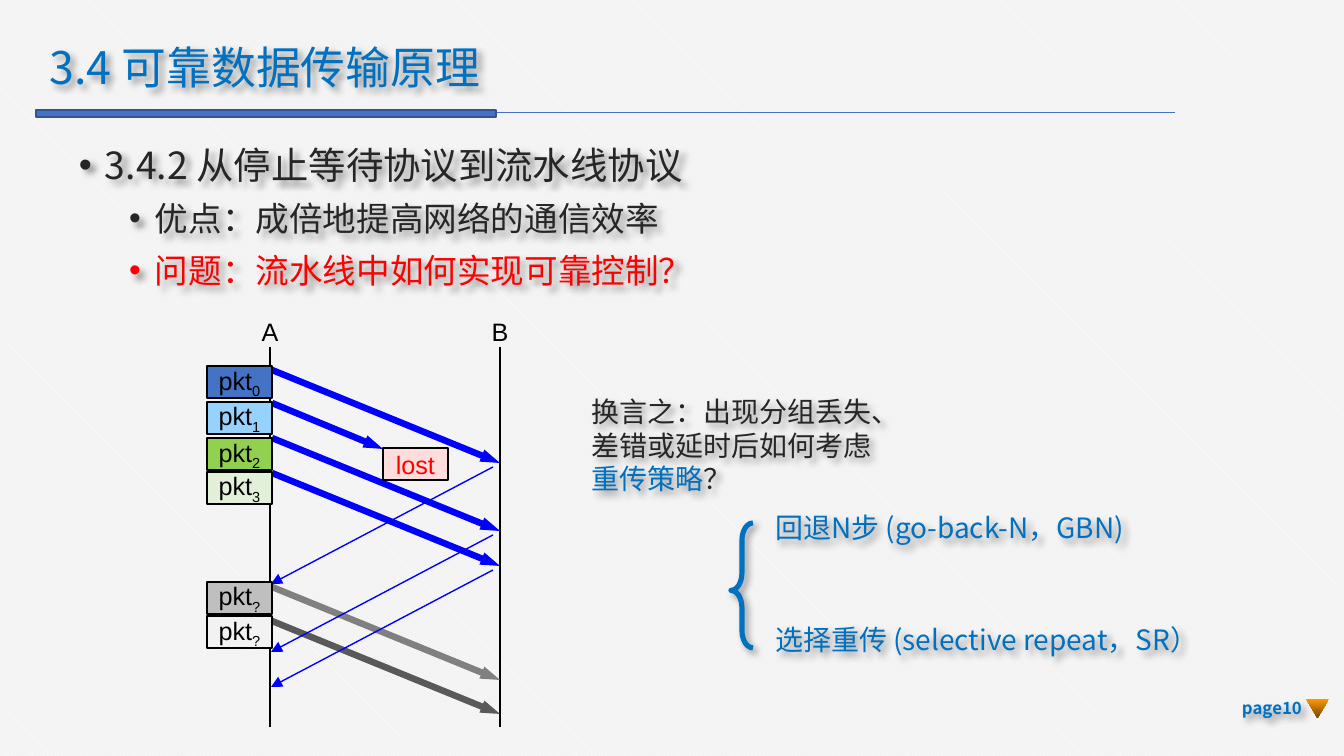
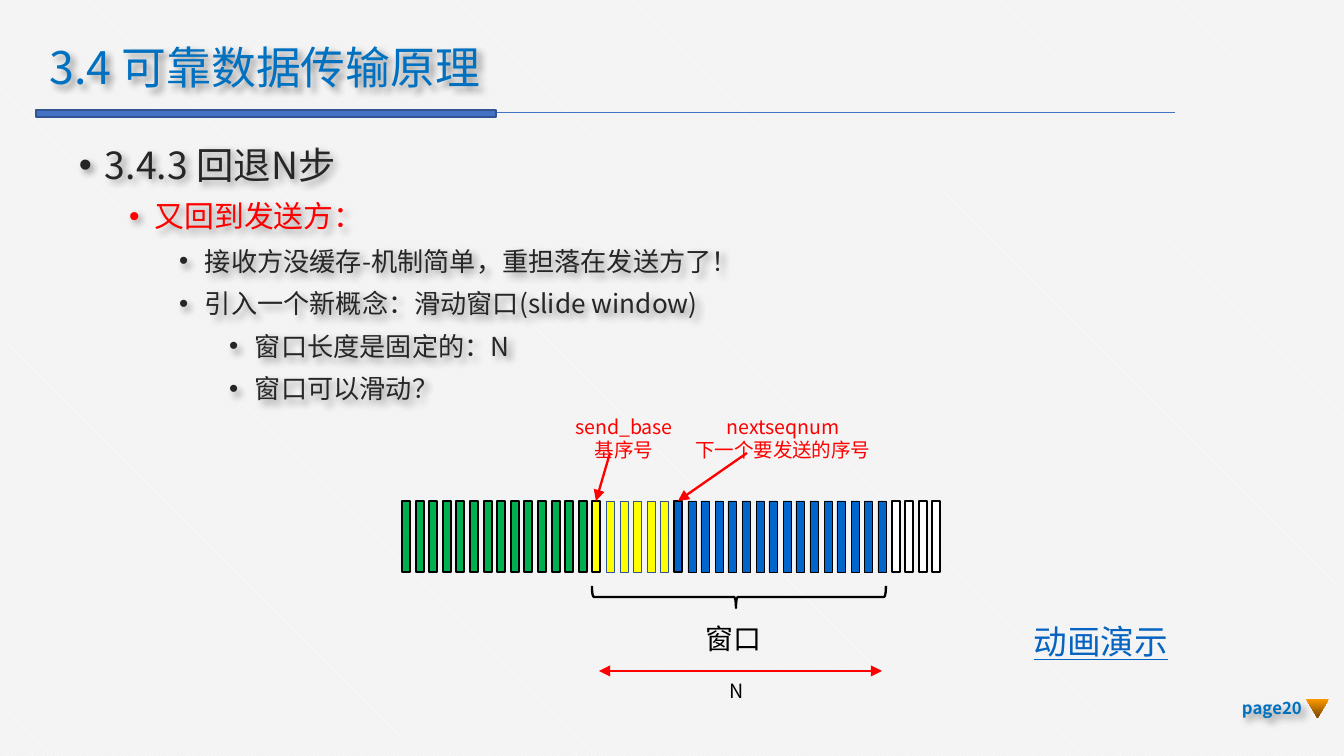
from lxml.etree import SubElement
from pptx import Presentation
from pptx.dml.color import RGBColor
from pptx.enum.dml import MSO_PATTERN
from pptx.enum.shapes import MSO_CONNECTOR, MSO_SHAPE
from pptx.enum.text import MSO_ANCHOR, MSO_AUTO_SIZE, PP_ALIGN
from pptx.oxml.ns import qn
from pptx.util import Pt

PX = 914400 / 134.4
SANS = "Noto Sans CJK SC"
LATIN = "Arial"
BLUE = "0070C0"
BAND = "4472C4"
BAND_EDGE = "325491"
INK = "262626"
BLACK = "000000"
RED = "FF0000"
ARROW_BLUE = "0000FF"
YELLOW = "FFFF00"
SEQUENCE_BLUE = "0066CC"
TITLE = "3.4 可靠数据传输原理"


def px(value):
    return round(value * PX)


def color(code):
    return RGBColor.from_string(code)


def place(shape, x, y, width, height):
    shape.left, shape.top = px(x), px(y)
    shape.width, shape.height = px(width), px(height)


def cast_shadow(shape):
    shape.shadow.inherit = False
    effects = shape._element.spPr.find(qn("a:effectLst"))
    shadow = SubElement(effects, qn("a:outerShdw"), blurRad=str(Pt(4)), dist=str(Pt(3)),
                        dir="2700000", algn="tl", rotWithShape="0")
    tint = SubElement(shadow, qn("a:srgbClr"), val=BLACK)
    SubElement(tint, qn("a:alpha"), val="40000")


def add_span(para, text, size, code, font=SANS, bold=False, underline=False, subscript=False):
    span = para.add_run()
    span.text = text
    span.font.size = Pt(size)
    span.font.name = font
    span.font.color.rgb = color(code)
    if bold:
        span.font.bold = True
    if underline:
        span.font.underline = True
    properties = span._r.get_or_add_rPr()
    latin = properties.find(qn("a:latin"))
    latin.addnext(properties.makeelement(qn("a:ea"), {"typeface": font}))
    if subscript:
        properties.set("baseline", "-25000")


def paragraphs(frame, count):
    return [frame.paragraphs[0]] + [frame.add_paragraph() for _ in range(count - 1)]


def add_text(page, frame_px, lines, align=PP_ALIGN.LEFT, anchor=MSO_ANCHOR.TOP,
             wrap=True, shadow=False):
    box = page.shapes.add_textbox(*map(px, frame_px))
    frame = box.text_frame
    frame.word_wrap = wrap
    frame.vertical_anchor = anchor
    for para, spans in zip(paragraphs(frame, len(lines)), lines):
        para.alignment = align
        for text, size, code, *options in spans:
            add_span(para, text, size, code, **(options[0] if options else {}))
    if shadow:
        cast_shadow(box)
    return box


def add_label(page, center_x, y, width, lines):
    label = add_text(page, (center_x - width / 2, y, width, 32), lines,
                     PP_ALIGN.CENTER, MSO_ANCHOR.MIDDLE, wrap=False)
    frame = label.text_frame
    frame.margin_left = frame.margin_right = 0
    frame.margin_top = frame.margin_bottom = 0


def add_block(page, frame_px, fill, edge=BLACK, weight=0.75):
    block = page.shapes.add_shape(MSO_SHAPE.RECTANGLE, *map(px, frame_px))
    block.shadow.inherit = False
    block.fill.solid()
    block.fill.fore_color.rgb = color(fill)
    block.line.color.rgb = color(edge)
    block.line.width = Pt(weight)
    return block


def add_packet(page, x, y, fill, name, subscript="", code=BLACK):
    packet = add_block(page, (x, y, 65, 32), fill)
    frame = packet.text_frame
    frame.word_wrap = False
    frame.vertical_anchor = MSO_ANCHOR.MIDDLE
    para = frame.paragraphs[0]
    para.alignment = PP_ALIGN.CENTER
    add_span(para, name, 13.5, code, LATIN)
    if subscript:
        add_span(para, subscript, 13.5, code, LATIN, subscript=True)


def add_line(page, start, end, code, weight, head=False, tail=False, tip="med"):
    line = page.shapes.add_connector(MSO_CONNECTOR.STRAIGHT, *map(px, (*start, *end)))
    line.line.color.rgb = color(code)
    line.line.width = Pt(weight)
    outline = line._element.spPr.find(qn("a:ln"))
    for shown, tag in ((head, "a:headEnd"), (tail, "a:tailEnd")):
        if shown:
            SubElement(outline, qn(tag), type="triangle", w=tip, len="med")
    SubElement(line._element.spPr, qn("a:effectLst"))
    return line


def add_brace(page, frame_px, adjustments, code, weight):
    brace = page.shapes.add_shape(MSO_SHAPE.LEFT_BRACE, *map(px, frame_px))
    brace.shadow.inherit = False
    brace.fill.background()
    brace.line.color.rgb = color(code)
    brace.line.width = Pt(weight)
    for index, value in enumerate(adjustments):
        brace.adjustments[index] = value
    return brace


def fill_title(page):
    title = page.shapes.title
    place(title, 36, 40, 573, 59)
    frame = title.text_frame
    frame.auto_size = MSO_AUTO_SIZE.NONE
    frame.vertical_anchor = MSO_ANCHOR.MIDDLE
    para = frame.paragraphs[0]
    para.alignment = PP_ALIGN.LEFT
    para.line_spacing = 0.9
    add_span(para, TITLE, 24, BLUE)
    cast_shadow(title)


def fill_body(page, height, items):
    body = page.placeholders[1]
    place(body, 69, 137, 1158, height)
    frame = body.text_frame
    frame.auto_size = MSO_AUTO_SIZE.NONE
    frame.margin_left = frame.margin_right = px(10)
    frame.margin_top = frame.margin_bottom = px(5)
    for index, (para, item) in enumerate(zip(paragraphs(frame, len(items)), items)):
        level, text, size, code = item
        para.level = level
        para.space_before = Pt(6 if index else 0)
        properties = para._p.get_or_add_pPr()
        properties.set("marL", str(px(26 + 50 * level)))
        properties.set("indent", str(px(-26)))
        SubElement(properties, qn("a:buFont"), typeface=LATIN)
        SubElement(properties, qn("a:buChar"), char="•")
        add_span(para, text, size, code)
    cast_shadow(body)


def add_page_number(page, number):
    add_text(page, (1222, 688, 93, 40), [[(f"page{number}", 9, BLUE, {"bold": True})]],
             PP_ALIGN.RIGHT, MSO_ANCHOR.MIDDLE, shadow=True)
    marker = page.shapes.add_shape(MSO_SHAPE.FLOWCHART_MERGE, *map(px, (1306, 699, 23, 19)))
    marker.shadow.inherit = False
    marker.line.fill.background()
    marker.fill.gradient()
    marker.fill.gradient_angle = 270
    for stop, position, code in zip(marker.fill.gradient_stops, (0, 1), ("FF9900", "764700")):
        stop.position = position
        stop.color.rgb = color(code)


def add_page(deck, number, body_height, items):
    page = deck.slides.add_slide(deck.slide_layouts[1])
    fill = page.background.fill
    fill.patterned()
    fill.pattern = MSO_PATTERN.DARK_DOWNWARD_DIAGONAL
    fill.fore_color.rgb = color("FFFFFF")
    fill.back_color.rgb = color("F2F2F2")
    add_line(page, (1175, 113), (36, 113), BAND, 0.5)
    add_block(page, (36, 110, 460, 7), BAND, BAND_EDGE, 1)
    fill_title(page)
    fill_body(page, body_height, items)
    add_page_number(page, number)
    return page


def draw_pipeline(page):
    for name, x in (("A", 270), ("B", 500)):
        add_line(page, (x, 347), (x, 727), BLACK, 0.75)
        add_label(page, x, 315, 95, [[(name, 13.5, BLACK, {"font": LATIN})]])
    for y, code in ((370, ARROW_BLUE), (438, ARROW_BLUE), (473, ARROW_BLUE),
                    (587, "808080"), (621, "595959")):
        add_line(page, (272, y), (500, y + 93), code, 3.5, tail=True, tip="sm")
    add_line(page, (272, 403), (383, 449), ARROW_BLUE, 3.5, tail=True, tip="sm")
    for y in (467, 535, 570):
        add_line(page, (493, y), (271, y + 117), ARROW_BLUE, 0.75, tail=True)
    for y, fill, subscript in ((366, BAND, "0"), (402, "97D2FF", "1"), (438, "92D050", "2"),
                               (472, "E2F0D9", "3"), (582, "BFBFBF", "?"), (616, "F2F2F2", "?")):
        add_packet(page, 207, y, fill, "pkt", subscript)
    add_packet(page, 383, 448, "FFDDDD", "lost", code=RED)


def draw_strategies(page):
    add_text(page, (578, 388, 327, 116),
             [[("换言之：出现分组丢失、差错或延时后如何考虑", 15, INK),
               ("重传策略", 15, BLUE), ("？", 15, INK)]], shadow=True)
    cast_shadow(add_brace(page, (731, 523, 22, 125), (0.78, 0.54), BLUE, 2.75))
    for y, width, text in ((504, 399, "回退N步 (go-back-N，GBN)"),
                           (616, 465, "选择重传 (selective repeat，SR）")):
        add_text(page, (762, y, width, 47), [[(text, 15, BLUE)]], shadow=True)


def draw_window(page):
    groups = ([("00B050", BLACK, 1)] * 14
              + [(YELLOW, BLACK, 1)] + [(YELLOW, BAND_EDGE, 0.25)] * 5
              + [(SEQUENCE_BLUE, BLACK, 1)] + [(SEQUENCE_BLUE, BLACK, 0.25)] * 15
              + [("FFFFFF", BLACK, 1)] * 4)
    bars = [add_block(page, (402 + round(13.6 * index), 501, 8, 71), *style)
            for index, style in enumerate(groups)]
    brace = add_brace(page, (728, 450, 22, 294), (0.08, 0.49), BLACK, 1.25)
    brace.rotation = 270
    for center, width, name, meaning, start, bar in (
            (624, 112, "send_base", "基序号", 610, bars[14]),
            (783, 196, "nextseqnum", "下一个要发送的序号", 747, bars[20])):
        add_label(page, center, 422, width, [[(name, 10.5, RED)], [(meaning, 10.5, RED)]])
        pointer = add_line(page, (start, 453), (start, 501), RED, 1.25, tail=True)
        pointer.end_connect(bar, 0)
    add_label(page, 734, 622, 80, [[("窗口", 15, BLACK)]])
    add_line(page, (882, 671), (599, 671), RED, 1.25, head=True, tail=True)
    add_label(page, 737, 675, 101, [[("N", 10.5, BLACK)]])
    add_label(page, 1101, 625, 156, [[("动画演示", 18, "0563C1", {"underline": True})]])


def main():
    deck = Presentation()
    deck.slide_width, deck.slide_height = px(1344), px(756)

    pipeline = add_page(deck, 10, 176, [
        (0, "3.4.2 从停止等待协议到流水线协议", 20, INK),
        (1, "优点：成倍地提高网络的通信效率", 18, INK),
        (1, "问题：流水线中如何实现可靠控制？", 18, RED),
    ])
    draw_pipeline(pipeline)
    draw_strategies(pipeline)

    window = add_page(deck, 20, 280, [
        (0, "3.4.3 回退N步", 20, INK),
        (1, "又回到发送方：", 16, RED),
        (2, "接收方没缓存-机制简单，重担落在发送方了！", 14, INK),
        (2, "引入一个新概念：滑动窗口(slide window)", 14, INK),
        (3, "窗口长度是固定的：N", 14, INK),
        (3, "窗口可以滑动？", 14, INK),
    ])
    draw_window(window)

    deck.save("out.pptx")


if __name__ == "__main__":
    main()
